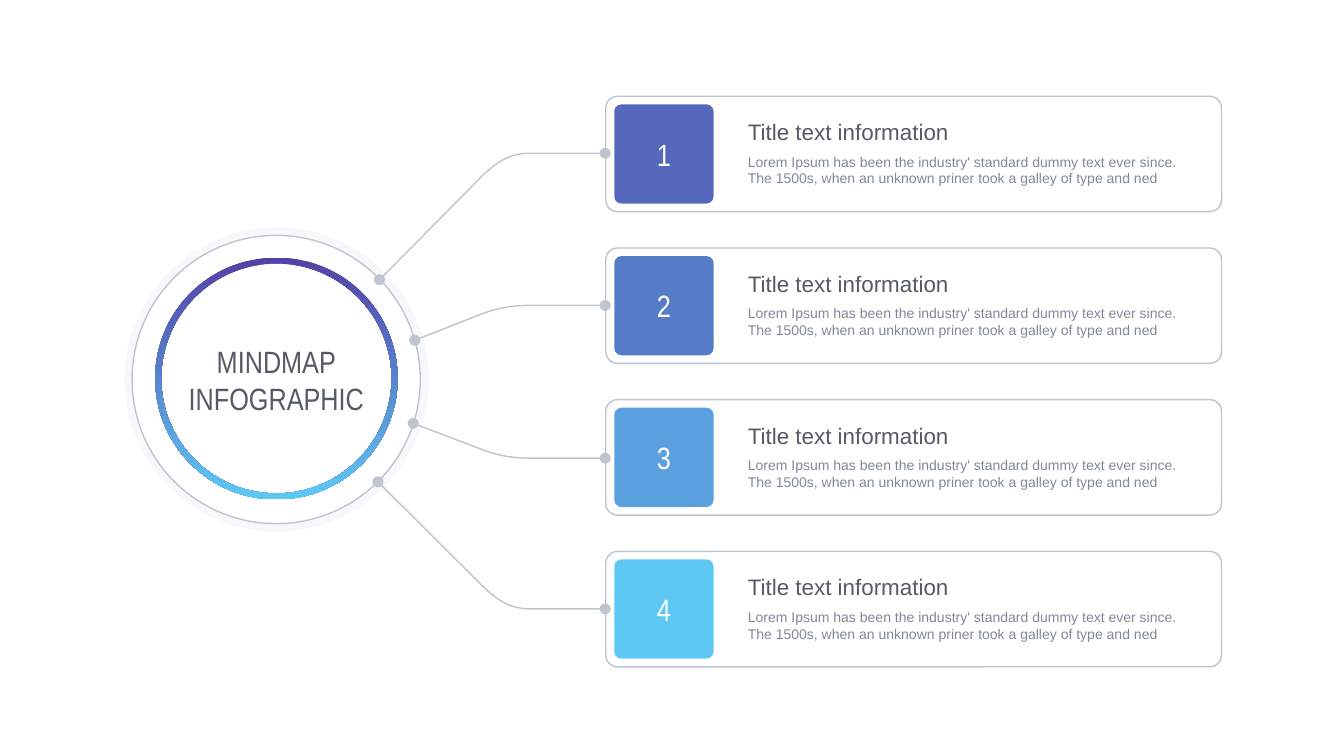
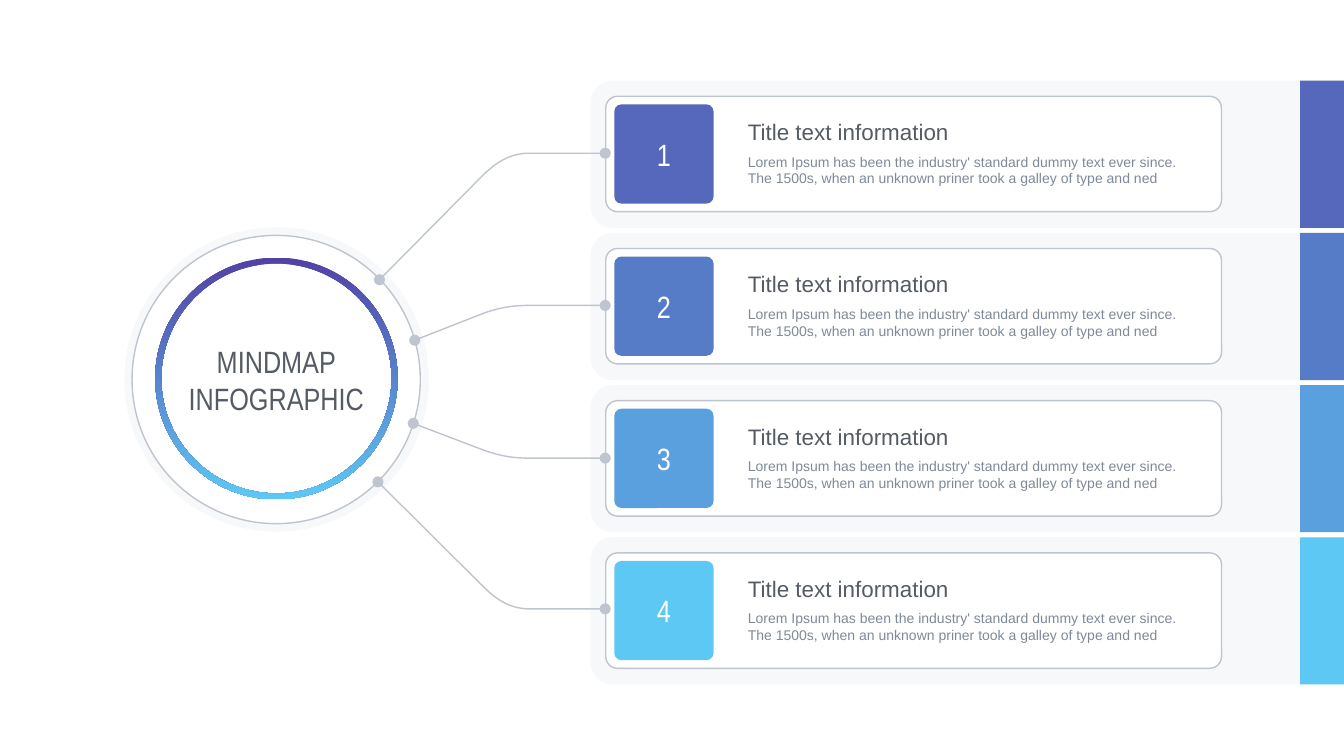
from lxml import etree
from pptx import Presentation
from pptx.dml.color import RGBColor
from pptx.enum.shapes import MSO_SHAPE
from pptx.enum.text import MSO_ANCHOR, MSO_AUTO_SIZE, PP_ALIGN
from pptx.oxml.ns import qn
from pptx.util import Pt

PX = 9144  # EMU per px, 100 px to the inch
SLIDE_WIDTH, SLIDE_HEIGHT = 2667, 1500

ROUNDED, RECTANGLE = MSO_SHAPE.ROUNDED_RECTANGLE, MSO_SHAPE.RECTANGLE
OVAL, DONUT = MSO_SHAPE.OVAL, MSO_SHAPE.DONUT
CENTER, LEFT = PP_ALIGN.CENTER, PP_ALIGN.LEFT
MIDDLE, TOP = MSO_ANCHOR.MIDDLE, MSO_ANCHOR.TOP
GROW = MSO_AUTO_SIZE.SHAPE_TO_FIT_TEXT

WHITE, GRAY, DARK, MUTED = "FFFFFF", "BFC5CE", "555B64", "7F8998"
HALO, PANEL = "EFF0F4", "EFF0F5"
GRADIENT = ("5242A5", "5EC8F5")
BRANCH_COLORS = ("5568BC", "567BC7", "5AA0DF", "5EC8F5")
DISPLAY_FONT, BODY_FONT = "Arial Narrow", "Arial"

HUB_BOX = (247, 451, 604, 604)
CARD_LEFT, CARD_TOP, CARD_WIDTH, CARD_HEIGHT = 1202, 191, 1222, 229
PANEL_LEFT, PANEL_TOP, PANEL_WIDTH, PANEL_HEIGHT = 1172, 160, 1561, 292
BAND_LEFT = 2580
PLAIN_PITCH, PANEL_PITCH = 301, 302

# Hub end, bend and card end of each link
LINKS = (
    ((753, 555), (962, 344), (1201, 304)),
    ((823, 675), (961, 621), (1201, 606)),
    ((820, 840), (962, 894), (1201, 909)),
    ((750, 956), (962, 1167), (1201, 1208)),
)
CURVE_WIDTH, CURVE_STEPS = 83, 12

CARD_TITLE = "Title text information"
CARD_BODY = (
    "Lorem Ipsum has been the industry' standard dummy text ever since. "
    "The 1500s, when an unknown priner took a galley of type and ned"
)


def rgb(color):
    return RGBColor.from_string(color)


def emu(*lengths):
    return [round(length * PX) for length in lengths]


def style(shape, fill=None, line=None, alpha=None):
    shape.shadow.inherit = False
    if fill:
        shape.fill.solid()
        shape.fill.fore_color.rgb = rgb(fill)
        if alpha:
            color = shape.fill._xPr.find(qn("a:solidFill"))[0]
            etree.SubElement(color, qn("a:alpha"), val=str(alpha * 1000))
    else:
        shape.fill.background()
    if line:
        shape.line.color.rgb = rgb(line)
        shape.line.width = Pt(2)
    else:
        shape.line.fill.background()


def add_shape(slide, kind, box, fill=None, line=None, adjust=None, alpha=None):
    shape = slide.shapes.add_shape(kind, *emu(*box))
    if adjust is not None:
        shape.adjustments[0] = adjust
    style(shape, fill, line, alpha)
    return shape


def write(shape, lines, size, color, font, align=LEFT, anchor=TOP, inset=None, wrap=True):
    frame = shape.text_frame
    frame.word_wrap = wrap
    frame.vertical_anchor = anchor
    if inset is not None:
        frame.margin_left = frame.margin_right = inset * PX
        frame.margin_top = frame.margin_bottom = inset * PX
    frame.text = "\n".join(lines)
    for paragraph in frame.paragraphs:
        paragraph.alignment = align
        paragraph.font.size = Pt(size)
        paragraph.font.name = font
        paragraph.font.color.rgb = rgb(color)


def add_text(slide, box, lines, *text_style, **options):
    text_box = slide.shapes.add_textbox(*emu(*box))
    write(text_box, lines, *text_style, **options)
    text_box.text_frame.auto_size = GROW


def add_hub(slide, box):
    left, top, width, height = box
    add_shape(slide, DONUT, box, HALO, adjust=0.025, alpha=45)
    ring = add_shape(slide, DONUT, (left + 61, top + 60, 481, 480), adjust=0.025)
    ring.fill.gradient()
    ring.fill.gradient_angle = 270
    for stop, color in zip(ring.fill.gradient_stops, GRADIENT):
        stop.color.rgb = rgb(color)
    add_text(slide, (left + 80, top + 236, 443, 132), ["MINDMAP", "INFOGRAPHIC"],
             44, DARK, DISPLAY_FONT, align=CENTER, anchor=MIDDLE, inset=6)
    add_shape(slide, OVAL, (left + 15, top + 16, width - 32, height - 32), line=GRAY)


def bend_points(bend, end_y):
    """Points of the cubic curve that eases a link from its bend to level."""
    x, y = bend
    rise = end_y - y
    controls = [(x, y), (x + 19, y + 0.42 * rise),
                (x + 43, y + 0.95 * rise), (x + CURVE_WIDTH, end_y)]
    points = []
    for step in range(CURVE_STEPS + 1):
        t = step / CURVE_STEPS
        weights = ((1 - t) ** 3, 3 * t * (1 - t) ** 2, 3 * t * t * (1 - t), t ** 3)
        points.append([sum(w * control[axis] for w, control in zip(weights, controls))
                       for axis in (0, 1)])
    return points


def add_link(slide, start, bend, end):
    builder = slide.shapes.build_freeform(*emu(*start))
    points = bend_points(bend, end[1]) + [end]
    builder.add_line_segments([emu(*point) for point in points], close=False)
    style(builder.convert_to_shape(), line=GRAY)


def add_dot(slide, center):
    x, y = center
    add_shape(slide, OVAL, (x - 11, y - 11, 22, 22), GRAY)


def add_card(slide, box, number, color, fill):
    left, top = box[:2]
    add_shape(slide, ROUNDED, box, fill, GRAY, adjust=0.102)
    tile = add_shape(slide, ROUNDED, (left + 17, top + 16, 197, 197), color, adjust=0.072)
    write(tile, [str(number)], 44, WHITE, DISPLAY_FONT, align=CENTER, anchor=MIDDLE, inset=6)
    add_text(slide, (left + 272, top + 108, 879, 77), [CARD_BODY], 20, MUTED, BODY_FONT)
    add_text(slide, (left + 272, top + 39, 422, 64), [CARD_TITLE], 32, DARK, BODY_FONT,
             wrap=False)


def add_mindmap(presentation, pitch, card_fill=None, panels=False):
    slide = presentation.slides.add_slide(presentation.slide_layouts[6])
    if panels:
        for index in range(len(LINKS)):
            add_shape(slide, ROUNDED,
                      (PANEL_LEFT, PANEL_TOP + index * pitch, PANEL_WIDTH, PANEL_HEIGHT),
                      PANEL, adjust=0.151, alpha=45)
    add_hub(slide, HUB_BOX)
    for index, (link, color) in enumerate(zip(LINKS, BRANCH_COLORS)):
        add_link(slide, *link)
        add_card(slide, (CARD_LEFT, CARD_TOP + index * pitch, CARD_WIDTH, CARD_HEIGHT),
                 index + 1, color, card_fill)
    for start, _, end in LINKS:
        add_dot(slide, start)
        add_dot(slide, end)
    if panels:
        for index, color in enumerate(BRANCH_COLORS):
            add_shape(slide, RECTANGLE,
                      (BAND_LEFT, PANEL_TOP + index * pitch,
                       SLIDE_WIDTH - BAND_LEFT, PANEL_HEIGHT), color)


def main():
    presentation = Presentation()
    presentation.slide_width, presentation.slide_height = emu(SLIDE_WIDTH, SLIDE_HEIGHT)
    add_mindmap(presentation, PLAIN_PITCH)
    add_mindmap(presentation, PANEL_PITCH, card_fill=WHITE, panels=True)
    presentation.save("out.pptx")


if __name__ == "__main__":
    main()
